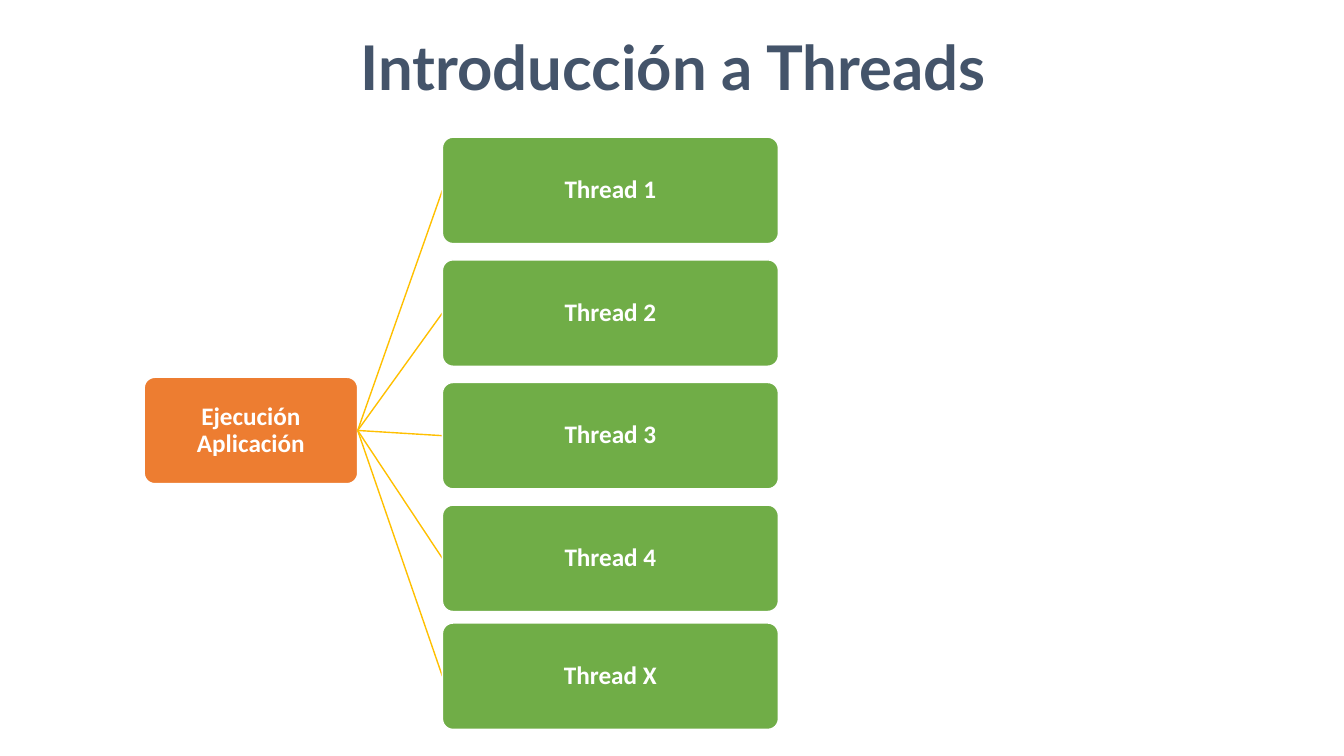
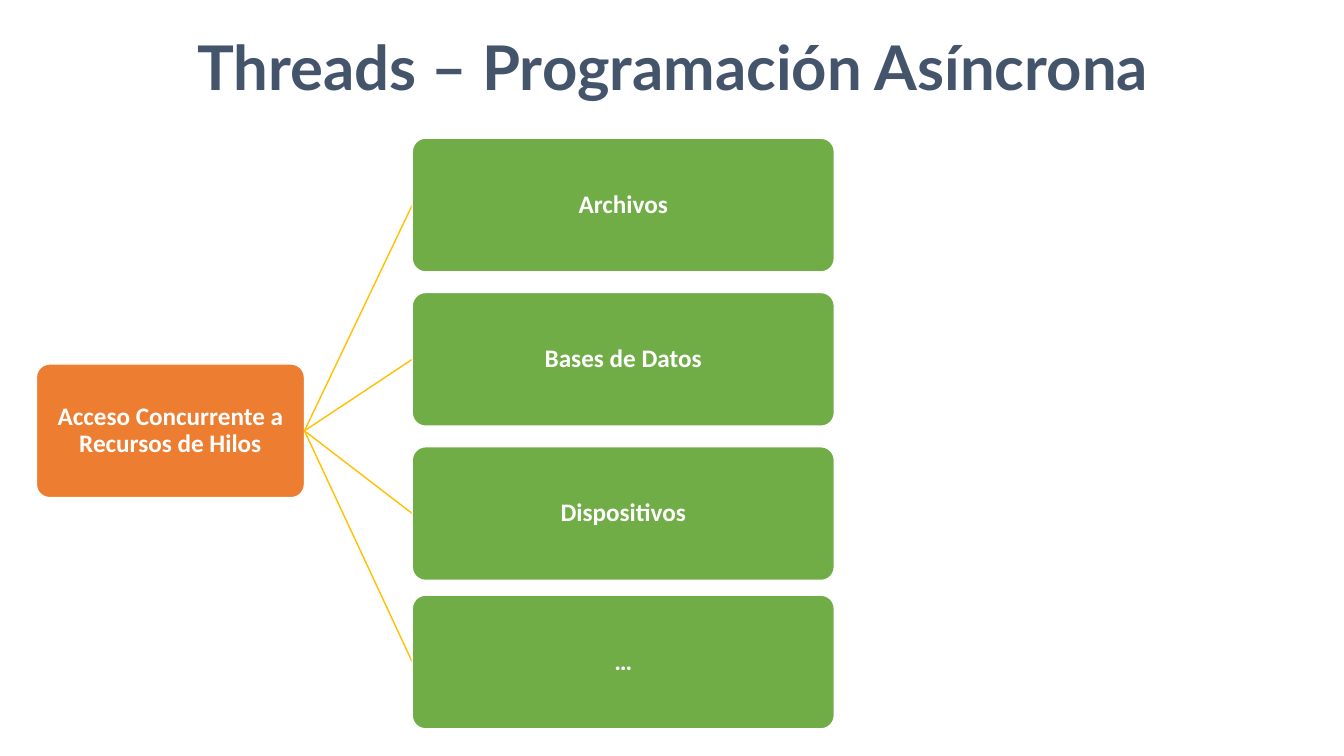
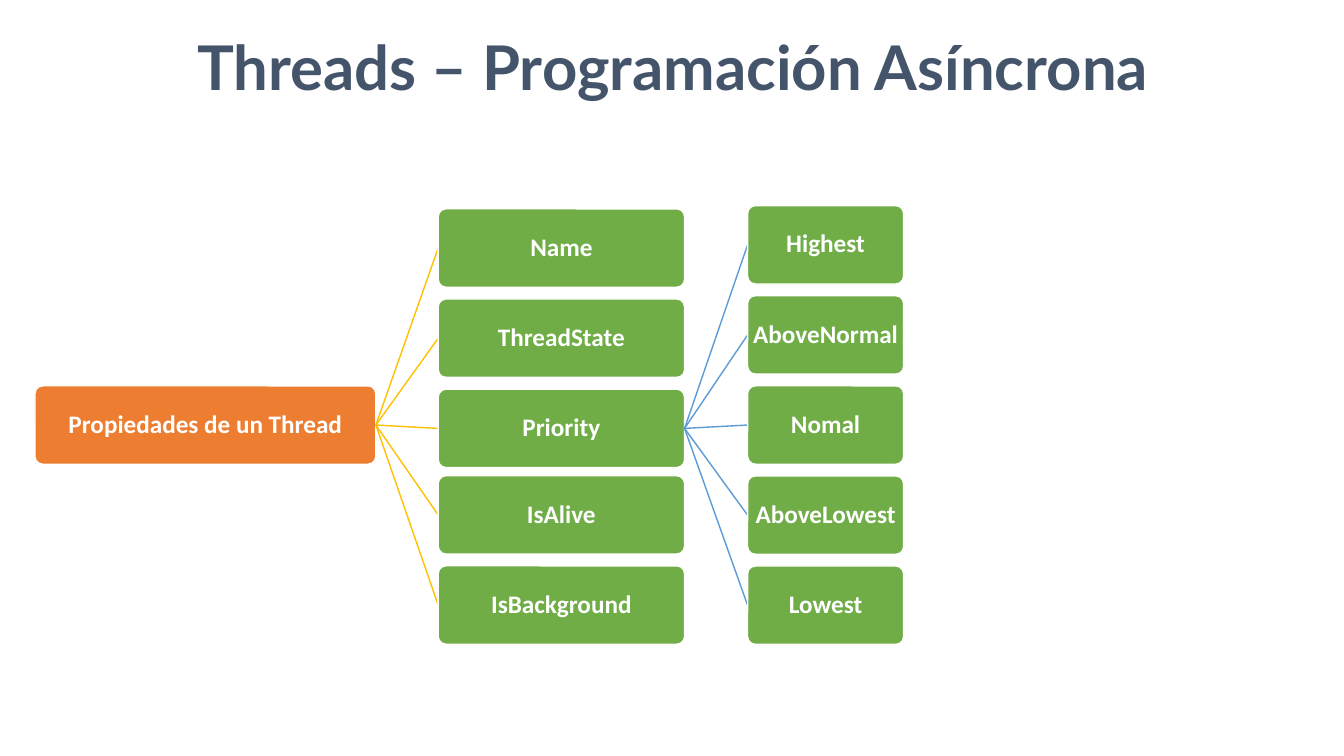
from dataclasses import dataclass

from lxml import etree
from pptx import Presentation
from pptx.dml.color import RGBColor
from pptx.enum.shapes import MSO_CONNECTOR, MSO_SHAPE
from pptx.enum.text import MSO_ANCHOR, MSO_AUTO_SIZE, PP_ALIGN
from pptx.oxml.ns import qn
from pptx.shapes.autoshape import Shape
from pptx.slide import Slide
from pptx.util import Pt

ROUND = MSO_SHAPE.ROUNDED_RECTANGLE
STRAIGHT = MSO_CONNECTOR.STRAIGHT
MIDDLE = MSO_ANCHOR.MIDDLE
CENTER = PP_ALIGN.CENTER
GROW = MSO_AUTO_SIZE.SHAPE_TO_FIT_TEXT
LEFT_SIDE, RIGHT_SIDE = 1, 3

COLORS = {
    "title": "44546A",
    "root": "ED7D31",
    "node": "70AD47",
    "white": "FFFFFF",
    "gold": "FFC000",
    "blue": "5B9BD5",
}


@dataclass(frozen=True)
class Node:
    text: str
    left: float
    top: float
    width: float
    height: float
    fill: str = "node"


@dataclass(frozen=True)
class Branch:
    texts: tuple[str, ...]
    left: float
    top: float
    width: float
    height: float
    step: float
    line: str = "gold"
    tail: int = 0
    lift: float = 0

    def nodes(self) -> list[Node]:
        start = len(self.texts) - self.tail
        return [
            Node(text, self.left,
                 self.top + i * self.step - (self.lift if i >= start else 0),
                 self.width, self.height)
            for i, text in enumerate(self.texts)
        ]


@dataclass(frozen=True)
class Page:
    title: str
    root: Node
    branch: Branch
    stem: str = ""
    twigs: Branch | None = None


ASYNC = "Threads – Programación Asíncrona"
PAGES = (
    Page(
        "Introducción a Threads",
        Node("Ejecución Aplicación", 103, 269.5, 152.5, 76, "root"),
        Branch(("Thread 1", "Thread 2", "Thread 3", "Thread 4", "Thread X"),
               316, 98, 240, 76, 87.6, tail=1, lift=3.4),
    ),
    Page(
        ASYNC,
        Node("Acceso Concurrente a Recursos de Hilos", 26, 260, 191.5, 95.5, "root"),
        Branch(("Archivos", "Bases de Datos", "Dispositivos", "…"),
               294.5, 98.7, 301.5, 95.5, 110.2, tail=1, lift=4.2),
    ),
    Page(
        ASYNC,
        Node("Propiedades de un Thread", 25, 275.6, 243.5, 56, "root"),
        Branch(("Name", "ThreadState", "Priority", "IsAlive", "IsBackground"),
               313, 149.2, 176, 56, 64.4, tail=2, lift=2.6),
        "Priority",
        Branch(("Highest", "AboveNormal", "Nomal", "AboveLowest", "Lowest"),
               534, 146.9, 111.5, 56, 64.35, line="blue"),
    ),
)


def tint(name: str) -> RGBColor:
    return RGBColor.from_string(COLORS[name])


def put_text(shape: Shape, text: str, font: str, size: float, color: str,
             pad_x: float, pad_y: float, space: float = 1) -> None:
    frame = shape.text_frame
    frame.word_wrap = True
    frame.margin_left = frame.margin_right = Pt(pad_x)
    frame.margin_top = frame.margin_bottom = Pt(pad_y)
    para = frame.paragraphs[0]
    para.alignment = CENTER
    para.line_spacing = space
    run = para.add_run()
    run.text = text
    run.font.name = font
    run.font.size = Pt(size)
    run.font.bold = True
    run.font.color.rgb = tint(color)


def add_title(slide: Slide, text: str) -> None:
    box = slide.shapes.add_textbox(Pt(9.4), Pt(18.7), Pt(943), Pt(57))
    put_text(box, text, "Lato", 44, "title", 3.6, 1.8)
    box.text_frame.auto_size = GROW


def add_node(slide: Slide, node: Node) -> Shape:
    shape = slide.shapes.add_shape(
        ROUND, Pt(node.left), Pt(node.top), Pt(node.width), Pt(node.height))
    shape.adjustments[0] = 0.1
    shape.shadow.inherit = False
    shape.fill.solid()
    shape.fill.fore_color.rgb = tint(node.fill)
    shape.line.color.rgb = tint("white")
    shape.line.width = Pt(1)
    shape.text_frame.vertical_anchor = MIDDLE
    put_text(shape, node.text, "Calibri", 18, "white", 0.8, 0.8, 0.9)
    return shape


def add_branch(slide: Slide, root: Shape, branch: Branch) -> dict[str, Shape]:
    shapes = {}
    for node in branch.nodes():
        link = slide.shapes.add_connector(STRAIGHT, Pt(0), Pt(0), Pt(0), Pt(0))
        link.line.color.rgb = tint(branch.line)
        link.line.width = Pt(1)
        etree.SubElement(link._element.spPr, qn("a:effectLst"))
        shape = add_node(slide, node)
        link.begin_connect(root, RIGHT_SIDE)
        link.end_connect(shape, LEFT_SIDE)
        shapes[node.text] = shape
    return shapes


def main() -> None:
    deck = Presentation()
    deck.slide_width, deck.slide_height = Pt(960), Pt(540)
    for page in PAGES:
        slide = deck.slides.add_slide(deck.slide_layouts[6])
        add_title(slide, page.title)
        shapes = add_branch(slide, add_node(slide, page.root), page.branch)
        if page.twigs:
            add_branch(slide, shapes[page.stem], page.twigs)
    deck.save("out.pptx")


if __name__ == "__main__":
    main()
